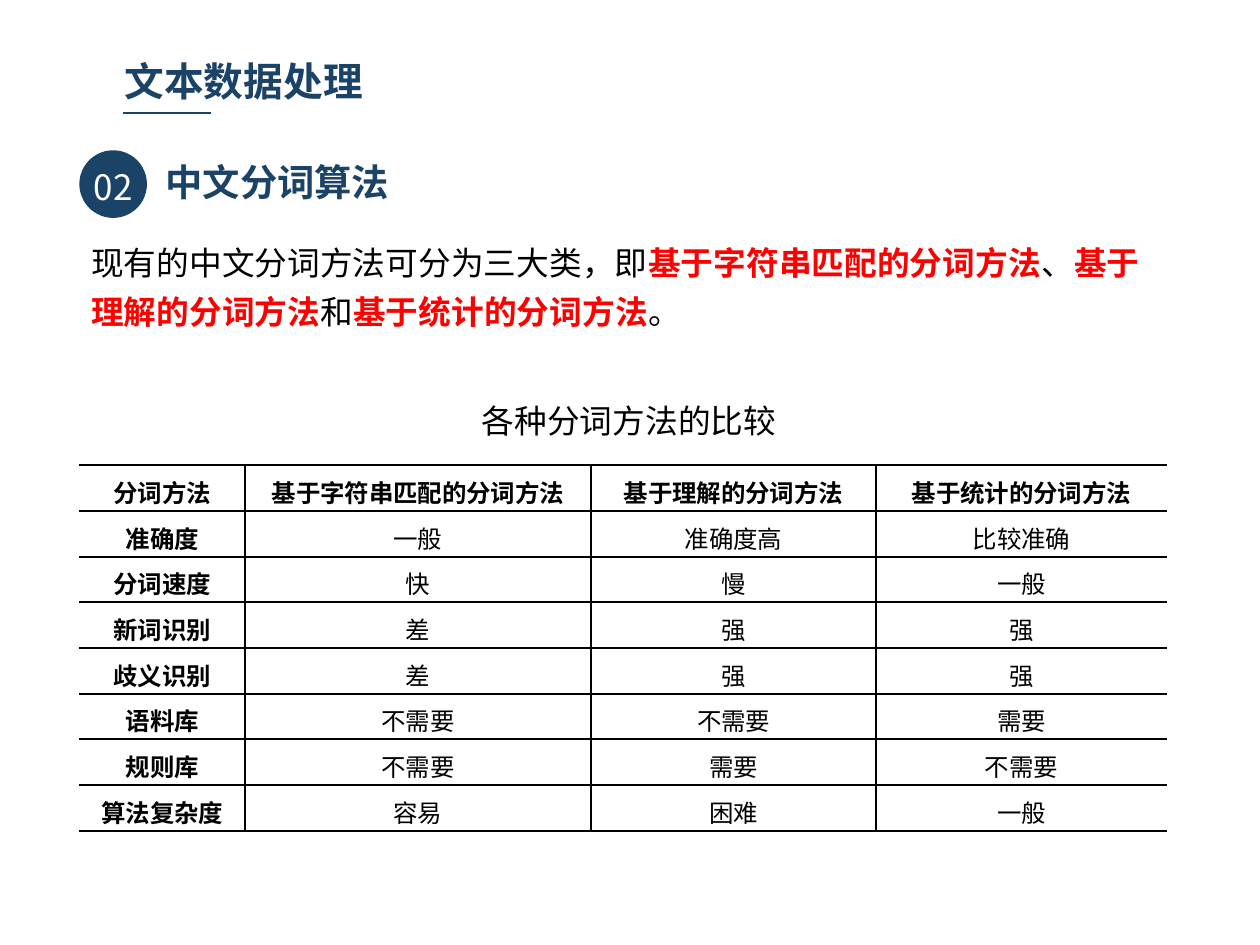
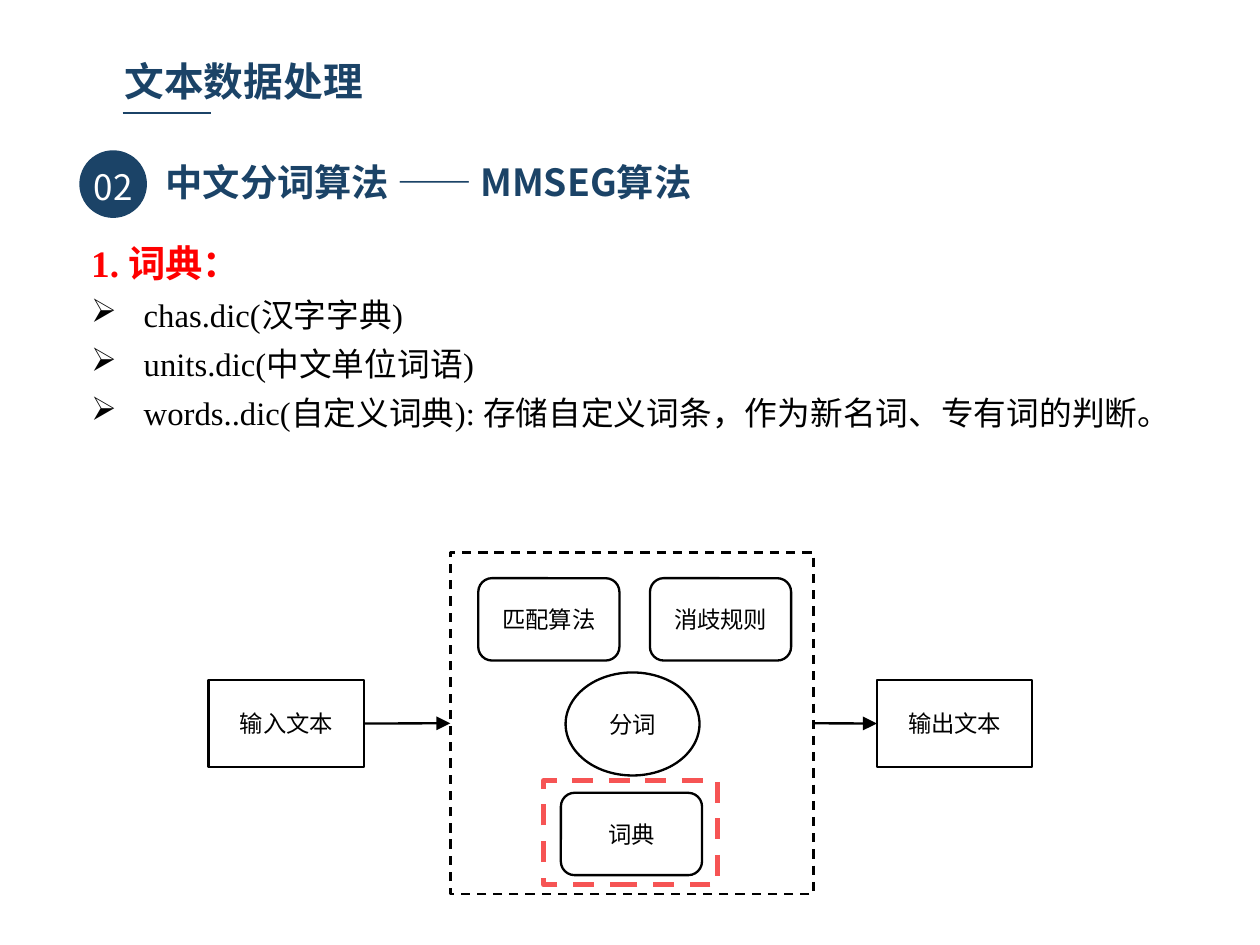
import lxml.etree
import pptx
import pptx.dml.color
import pptx.enum.dml
import pptx.enum.shapes
import pptx.enum.text
import pptx.oxml
import pptx.oxml.ns
import pptx.util

Pt = pptx.util.Pt
SHAPE = pptx.enum.shapes.MSO_SHAPE
ALIGN = pptx.enum.text.PP_ALIGN
ANCHOR = pptx.enum.text.MSO_ANCHOR
DASH = pptx.enum.dml.MSO_LINE.DASH
qn = pptx.oxml.ns.qn

COLORS = {
    "navy": "1B4367",
    "black": "000000",
    "white": "FFFFFF",
    "red": "FF0000",
    "coral": "F65454",
}
CJK = "Noto Sans CJK SC"
LATIN = "Calibri"
SERIF = "Times New Roman"

COMPARISON = [
    ["分词方法", "基于字符串匹配的分词方法", "基于理解的分词方法", "基于统计的分词方法"],
    ["准确度", "一般", "准确度高", "比较准确"],
    ["分词速度", "快", "慢", "一般"],
    ["新词识别", "差", "强", "强"],
    ["歧义识别", "差", "强", "强"],
    ["语料库", "不需要", "不需要", "需要"],
    ["规则库", "不需要", "需要", "不需要"],
    ["算法复杂度", "容易", "困难", "一般"],
]
COLUMN_WIDTHS = [71.2, 148, 122.4, 124.4]
ROW_HEIGHT = 19.6

DICTIONARIES = [
    "chas.dic(汉字字典)",
    "units.dic(中文单位词语)",
    "words..dic(自定义词典): 存储自定义词条，作为新名词、专有词的判断。",
]


def rgb(name):
    return pptx.dml.color.RGBColor.from_string(COLORS[name])


def write(paragraph, text, size=14, color="black", font=SERIF, bold=False,
          align=ALIGN.LEFT, spacing=None, before=None, bullet=None):
    paragraph.alignment = align
    if spacing:
        paragraph.line_spacing = spacing
    if before:
        paragraph.space_before = Pt(before)
    if bullet:
        properties = paragraph._p.get_or_add_pPr()
        properties.set("marL", str(Pt(22.5)))
        properties.set("indent", str(-Pt(22.5)))
        lxml.etree.SubElement(properties, qn("a:buChar")).set("char", bullet)
    for index, part in enumerate(text.split("*")):
        highlighted = index % 2 == 1
        run = paragraph.add_run()
        run.text = part
        run.font.size = Pt(size)
        run.font.name = font
        run.font.bold = bold or highlighted
        run.font.color.rgb = rgb("red" if highlighted else color)
        east_asian = lxml.etree.SubElement(run._r.get_or_add_rPr(), qn("a:ea"))
        east_asian.set("typeface", CJK)


def set_margins(frame, across, down):
    frame.margin_left = frame.margin_right = Pt(across)
    frame.margin_top = frame.margin_bottom = Pt(down)


def add_frame(slide, left, top, width, height, wrap=True, margins=(7.2, 3.6)):
    frame = slide.shapes.add_textbox(
        Pt(left), Pt(top), Pt(width), Pt(height)).text_frame
    frame.word_wrap = wrap
    set_margins(frame, *margins)
    return frame


def add_node(slide, kind, left, top, width, height, text="", fill="white",
             line="black", weight=1, dash=None, **text_format):
    node = slide.shapes.add_shape(
        kind, Pt(left), Pt(top), Pt(width), Pt(height))
    node.shadow.inherit = False
    if fill:
        node.fill.solid()
        node.fill.fore_color.rgb = rgb(fill)
    else:
        node.fill.background()
    if line:
        node.line.color.rgb = rgb(line)
        node.line.width = Pt(weight)
        if dash:
            node.line.dash_style = dash
    else:
        node.line.fill.background()
    if text:
        frame = node.text_frame
        frame.word_wrap = False
        frame.vertical_anchor = ANCHOR.MIDDLE
        set_margins(frame, 0, 0)
        write(frame.paragraphs[0], text, align=ALIGN.CENTER, **text_format)
    return node


def add_line(slide, start, end, color, weight):
    line = slide.shapes.add_connector(
        pptx.enum.shapes.MSO_CONNECTOR.STRAIGHT, *map(Pt, start + end))
    line.line.color.rgb = rgb(color)
    line.line.width = Pt(weight)
    lxml.etree.SubElement(line._element.spPr, qn("a:effectLst"))
    return line


def add_arrow(slide, source, target):
    arrow = add_line(slide, (0, 0), (0, 0), "black", 1)
    arrow.begin_connect(source, 3)
    arrow.end_connect(target, 1)
    head = lxml.etree.SubElement(arrow.line._get_or_add_ln(), qn("a:tailEnd"))
    head.set("type", "triangle")


def add_header(slide, section, section_width):
    add_line(slide, (52.6, 48.4), (90.6, 48.4), "navy", 0.75)
    heading = {"color": "navy", "font": CJK, "bold": True}
    title = add_frame(slide, 48, 21.6, 147, 26, margins=(5.4, 2.7))
    write(title.paragraphs[0], "文本数据处理", size=17, **heading)
    subtitle = add_frame(slide, 65.6, 65.6, section_width, 25,
                         wrap=False, margins=(5.4, 2.7))
    write(subtitle.paragraphs[0], section, size=16, **heading)
    badge = add_node(slide, SHAPE.OVAL, 34, 64.4, 29, 29, "02", fill="navy",
                     line=None, size=15, color="white", font=CJK)
    badge.text_frame.margin_top = Pt(2)


def set_borders(cell, visible):
    properties = cell._tc.get_or_add_tcPr()
    for position, (side, shown) in enumerate(visible.items()):
        border = pptx.oxml.parse_xml(
            f'<a:{side} {pptx.oxml.ns.nsdecls("a")} w="{Pt(1)}"/>')
        if shown:
            fill = lxml.etree.SubElement(border, qn("a:solidFill"))
            lxml.etree.SubElement(fill, qn("a:srgbClr")).set("val", COLORS["black"])
        else:
            lxml.etree.SubElement(border, qn("a:noFill"))
        properties.insert(position, border)


def add_comparison(slide, left, top):
    last = len(COLUMN_WIDTHS) - 1
    table = slide.shapes.add_table(
        len(COMPARISON), len(COLUMN_WIDTHS), Pt(left), Pt(top),
        Pt(sum(COLUMN_WIDTHS)), Pt(ROW_HEIGHT * len(COMPARISON))).table
    table.first_row = table.horz_banding = False
    for column, width in zip(table.columns, COLUMN_WIDTHS):
        column.width = Pt(width)
    for r, values in enumerate(COMPARISON):
        table.rows[r].height = Pt(ROW_HEIGHT)
        for c, value in enumerate(values):
            cell = table.cell(r, c)
            cell.fill.background()
            set_margins(cell, 5.4, 0)
            set_borders(cell, {"lnL": c > 0, "lnR": c < last,
                               "lnT": True, "lnB": True})
            write(cell.text_frame.paragraphs[0], value, size=10.5,
                  bold=r == 0 or c == 0, align=ALIGN.CENTER, spacing=1.25)


def build_methods(slide):
    add_header(slide, "中文分词算法", 108)
    summary = add_frame(slide, 32, 96.4, 476.6, 50)
    write(summary.paragraphs[0],
          "现有的中文分词方法可分为三大类，即*基于字符串匹配的分词方法*、"
          "*基于理解的分词方法*和*基于统计的分词方法*。",
          font=LATIN, spacing=1.25)
    add_comparison(slide, 34, 199.4)
    caption = add_frame(slide, 199.4, 168.4, 142, 24.4, wrap=False)
    write(caption.paragraphs[0], "各种分词方法的比较")


def build_mmseg(slide):
    add_header(slide, "中文分词算法 —— MMSEG算法", 249)
    dictionaries = add_frame(slide, 32, 94.6, 476.6, 98)
    write(dictionaries.paragraphs[0], "1. 词典：", size=16, color="red",
          bold=True, spacing=1.25, before=6)
    for entry in DICTIONARIES:
        write(dictionaries.add_paragraph(), entry, spacing=1.25, bullet="➢")

    engine = add_node(slide, SHAPE.RECTANGLE, 193, 236.8, 155.6, 146.4,
                      fill=None, dash=DASH)
    source, result = [
        add_node(slide, SHAPE.RECTANGLE, left, 291.4, 66.6, 37.4, text, size=10)
        for left, text in ((89.4, "输入文本"), (375.8, "输出文本"))]
    for left, top, text in ((205, 247.8, "匹配算法"), (278.6, 247.8, "消歧规则"),
                            (240.4, 339.8, "词典")):
        add_node(slide, SHAPE.ROUNDED_RECTANGLE, left, top, 60.5, 35.3, text,
                 size=10, font=LATIN)
    add_node(slide, SHAPE.OVAL, 242.4, 288.2, 57.4, 44.2, "分词", size=10)
    add_arrow(slide, source, engine)
    add_arrow(slide, engine, result)
    add_node(slide, SHAPE.RECTANGLE, 233, 334.6, 74.5, 44.6, fill=None,
             line="coral", weight=2.25, dash=DASH)


def main():
    deck = pptx.Presentation()
    deck.slide_width = Pt(540)
    deck.slide_height = Pt(405)
    for build in (build_methods, build_mmseg):
        build(deck.slides.add_slide(deck.slide_layouts[6]))
    deck.save("out.pptx")


if __name__ == "__main__":
    main()
